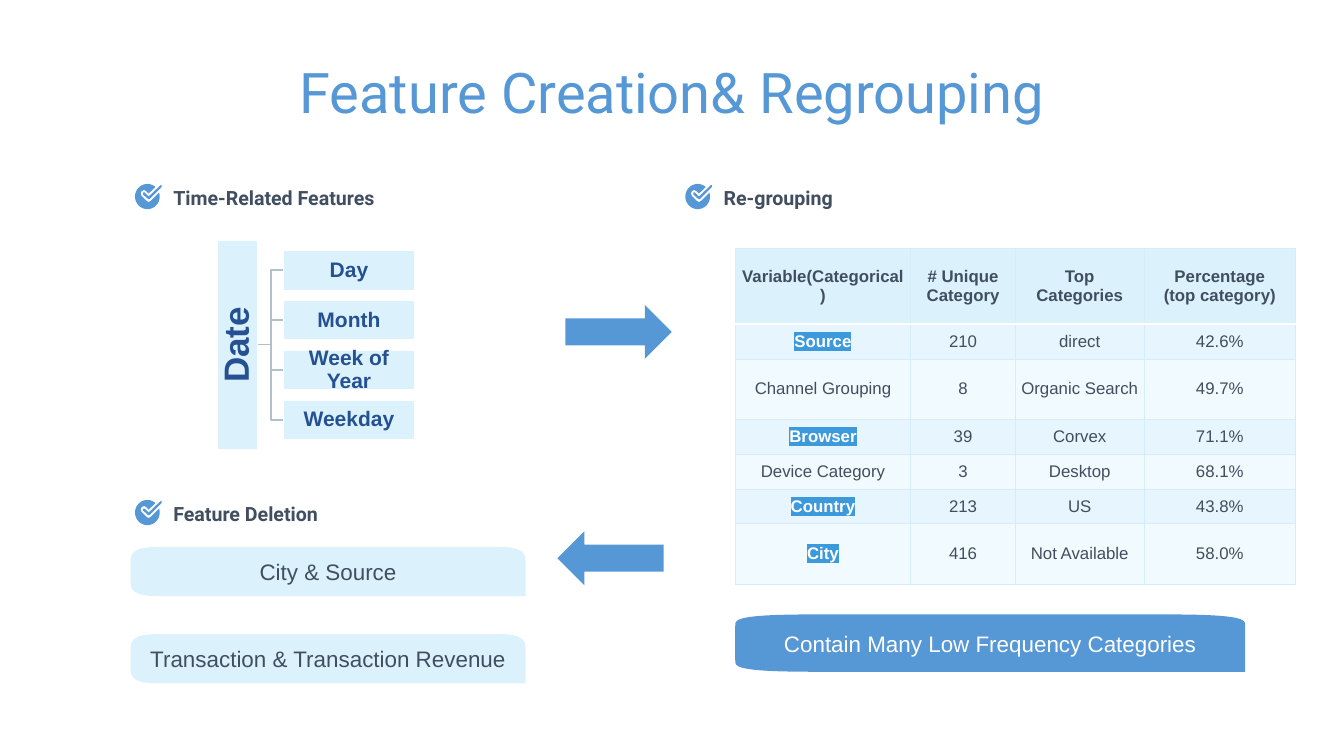
from dataclasses import dataclass
from math import cos, radians, sin

from lxml import etree
from pptx import Presentation
from pptx.dml.color import RGBColor
from pptx.enum.shapes import MSO_CONNECTOR, MSO_SHAPE
from pptx.enum.text import MSO_ANCHOR, PP_ALIGN
from pptx.oxml.ns import qn
from pptx.util import Inches, Pt

CENTER, LEFT = PP_ALIGN.CENTER, PP_ALIGN.LEFT
MIDDLE, TOP = MSO_ANCHOR.MIDDLE, MSO_ANCHOR.TOP
ELBOW = MSO_CONNECTOR.ELBOW
RECTANGLE, RIGHT_ARROW = MSO_SHAPE.RECTANGLE, MSO_SHAPE.RIGHT_ARROW

COLORS = {
    "blue": "5697D6", "pale": "DBF2FD", "navy": "255193", "slate": "404E5F",
    "white": "FFFFFF", "bracket": "AFC2CB", "grid": "D5EDF8",
    "band": "E7F6FE", "plain": "F1FAFE", "highlight": "3B99DC",
}


@dataclass
class TextStyle:
    size: float
    color: str
    font: str = "Arial"
    bold: bool = False
    align: PP_ALIGN = CENTER
    anchor: MSO_ANCHOR = MIDDLE
    inset: float = 0
    spacing: float = 1.0


@dataclass
class Heading:
    text: str
    left: float
    top: float


@dataclass
class Banner:
    text: str
    left: float
    top: float
    width: float
    height: float
    corner: tuple[float, float]
    fill: str
    color: str


TITLE = TextStyle(80, "blue", "Roboto", anchor=TOP, inset=0.06)
HEADING = TextStyle(28, "slate", "Roboto", True, LEFT, TOP, 0.06, 1.2)
DATE = TextStyle(50, "navy", bold=True, inset=0.03, spacing=0.9)
PART = TextStyle(30, "navy", bold=True, inset=0.02, spacing=0.9)

HEADINGS = [
    Heading("Time-Related Features", 2.68, 3.54),
    Heading("Feature Deletion", 2.68, 9.81),
    Heading("Re-grouping", 13.6, 3.54),
]
DATE_PARTS = ["Day", "Month", "Week of Year", "Weekday"]
BANNERS = [
    Banner("City & Source", 2.59, 10.85, 7.84, 0.98, (0.73, 0.35), "pale", "slate"),
    Banner("Transaction & Transaction Revenue", 2.59, 12.58, 7.84, 0.98,
           (0.73, 0.35), "pale", "slate"),
    Banner("Contain Many Low Frequency Categories", 14.59, 12.19, 10.12, 1.14,
           (2.09, 0.23), "blue", "white"),
]
COLUMN_WIDTHS = [3.48, 2.08, 2.55, 3.01]
ROW_HEIGHTS = [1.51, 0.69, 1.2, 0.69, 0.69, 0.69, 1.2]
TABLE_ROWS = [
    ["Variable(Categorical)", "# Unique Category", "Top Categories",
     "Percentage\n(top category)"],
    ["Source", "210", "direct", "42.6%"],
    ["Channel Grouping", "8", "Organic Search", "49.7%"],
    ["Browser", "39", "Corvex", "71.1%"],
    ["Device Category", "3", "Desktop", "68.1%"],
    ["Country", "213", "US", "43.8%"],
    ["City", "416", "Not Available", "58.0%"],
]
HIGHLIGHTED = {"Source", "Browser", "Country", "City"}

# Check mark icon, in inches from its top left corner
DISC = [(0.245 + 0.245 * cos(radians(angle)), 0.25 + 0.25 * sin(radians(angle)))
        for angle in range(-49, -380, -10)]
NOTCH = [(0.48, 0.17), (0.32, 0.33), (0.27, 0.36), (0.22, 0.33), (0.13, 0.24),
         (0.11, 0.19), (0.13, 0.14), (0.18, 0.12), (0.22, 0.14), (0.27, 0.19)]
CHECK = [(0.52, 0.02), (0.5, 0.03), (0.27, 0.25), (0.19, 0.17), (0.16, 0.17),
         (0.16, 0.21), (0.26, 0.3), (0.29, 0.3), (0.53, 0.06), (0.53, 0.03)]


def rgb(name: str) -> RGBColor:
    return RGBColor.from_string(COLORS[name])


def format_paragraph(paragraph, style: TextStyle) -> None:
    paragraph.alignment = style.align
    paragraph.line_spacing = style.spacing
    font = paragraph.font
    font.name, font.size, font.bold = style.font, Pt(style.size), style.bold
    font.color.rgb = rgb(style.color)


def write(shape, text: str, style: TextStyle) -> None:
    frame = shape.text_frame
    frame.text = text
    frame.word_wrap = True
    frame.vertical_anchor = style.anchor
    frame.margin_left = frame.margin_right = Inches(style.inset)
    frame.margin_top = frame.margin_bottom = Inches(style.inset)
    for paragraph in frame.paragraphs:
        format_paragraph(paragraph, style)


def paint(shape, fill: str, line: str | None = None) -> None:
    shape.shadow.inherit = False
    shape.fill.solid()
    shape.fill.fore_color.rgb = rgb(fill)
    if line:
        shape.line.color.rgb = rgb(line)
        shape.line.width = Pt(2)
    else:
        shape.line.fill.background()


def add_preset(slide, kind, box: tuple, fill: str, line: str | None = None,
               rotation: float = 0):
    shape = slide.shapes.add_shape(kind, *map(Inches, box))
    shape.rotation = rotation
    paint(shape, fill, line)
    return shape


def add_outline(slide, left: float, top: float, contours: list, fill: str):
    """Add one filled freeform made of closed contours, given relative to left and top."""
    moved = [[(Inches(left + x), Inches(top + y)) for x, y in contour]
             for contour in contours]
    builder = slide.shapes.build_freeform(*moved[0][0])
    for index, points in enumerate(moved):
        if index:
            builder.move_to(*points[0])
        builder.add_line_segments(points[1:], close=True)
    shape = builder.convert_to_shape()
    paint(shape, fill)
    return shape


def add_heading(slide, heading: Heading) -> None:
    add_outline(slide, heading.left, heading.top + 0.11, [DISC + NOTCH, CHECK], "blue")
    box = slide.shapes.add_textbox(Inches(heading.left + 0.7), Inches(heading.top),
                                   Inches(7.39), Inches(0.63))
    write(box, heading.text, HEADING)


def add_banner(slide, banner: Banner) -> None:
    """Add a banner with three squarish round corners and a sharp bottom right one."""
    radius_x, radius_y = banner.corner
    width, height = banner.width, banner.height
    curve = [(radius_x * (1 - abs(cos(radians(angle))) ** 0.57),
              radius_y * (1 - abs(sin(radians(angle))) ** 0.57))
             for angle in range(0, 91, 5)]
    top_left = curve
    top_right = [(width - x, y) for x, y in reversed(curve)]
    bottom_left = [(x, height - y) for x, y in reversed(curve)]
    points = top_left + top_right + [(width, height)] + bottom_left
    shape = add_outline(slide, banner.left, banner.top, [points], banner.fill)
    write(shape, banner.text, TextStyle(32, banner.color))


def add_date_tree(slide) -> None:
    for index, part in enumerate(DATE_PARTS):
        top = 4.97 + index * 0.99
        connector = slide.shapes.add_connector(
            ELBOW, Inches(5.12), Inches(6.84), Inches(5.63), Inches(top + 0.39))
        connector.line.color.rgb = rgb("bracket")
        connector.line.width = Pt(2)
        etree.SubElement(connector._element.spPr, qn("a:effectLst"))
        write(add_preset(slide, RECTANGLE, (5.63, top, 2.59, 0.79), "pale", "white"),
              part, PART)
    root = add_preset(slide, RECTANGLE, (2.64, 6.45, 4.15, 0.79), "pale", "white", 270)
    write(root, "Date", DATE)


def add_color(parent, tag: str, color: str):
    element = etree.SubElement(parent, qn(tag))
    etree.SubElement(element, qn("a:srgbClr"), val=COLORS[color])
    return element


def set_border(cell, side: str, color: str, width: float) -> None:
    border = etree.SubElement(cell._tc.get_or_add_tcPr(), qn(f"a:ln{side}"),
                              w=str(Pt(width)))
    add_color(border, "a:solidFill", color)


def format_cell(cell, row: int, text: str) -> None:
    cell.text = text
    cell.vertical_anchor = MIDDLE
    for side in "LRTB":
        under_header = (row, side) in ((0, "B"), (1, "T"))
        set_border(cell, side, *(("white", 2) if under_header else ("grid", 0.75)))
    cell.fill.solid()
    cell.fill.fore_color.rgb = rgb("pale" if row == 0 else "band" if row % 2 else "plain")
    marked = text in HIGHLIGHTED
    style = TextStyle(24, "white" if marked else "slate", bold=row == 0 or marked)
    for paragraph in cell.text_frame.paragraphs:
        format_paragraph(paragraph, style)
        if marked:
            add_color(paragraph.runs[0].font._element, "a:highlight", "highlight")


def add_category_table(slide) -> None:
    table = slide.shapes.add_table(
        len(TABLE_ROWS), len(COLUMN_WIDTHS), Inches(14.59), Inches(4.92),
        Inches(sum(COLUMN_WIDTHS)), Inches(sum(ROW_HEIGHTS))).table
    table.horz_banding = False
    for column, width in zip(table.columns, COLUMN_WIDTHS):
        column.width = Inches(width)
    for row, (height, texts) in enumerate(zip(ROW_HEIGHTS, TABLE_ROWS)):
        table.rows[row].height = Inches(height)
        for column, text in enumerate(texts):
            format_cell(table.cell(row, column), row, text)


def main() -> None:
    presentation = Presentation()
    presentation.slide_width, presentation.slide_height = Inches(26.67), Inches(15)
    slide = presentation.slides.add_slide(presentation.slide_layouts[5])
    title = slide.shapes.title
    title.left, title.top = Inches(5.7), Inches(1.08)
    title.width, title.height = Inches(15.27), Inches(1.46)
    write(title, "Feature Creation& Regrouping", TITLE)
    for heading in HEADINGS:
        add_heading(slide, heading)
    add_date_tree(slide)
    add_category_table(slide)
    add_preset(slide, RIGHT_ARROW, (11.22, 6.05, 2.11, 1.07), "blue")
    add_preset(slide, RIGHT_ARROW, (11.06, 10.54, 2.11, 1.07), "blue", rotation=180)
    for banner in BANNERS:
        add_banner(slide, banner)
    presentation.save("out.pptx")


if __name__ == "__main__":
    main()
